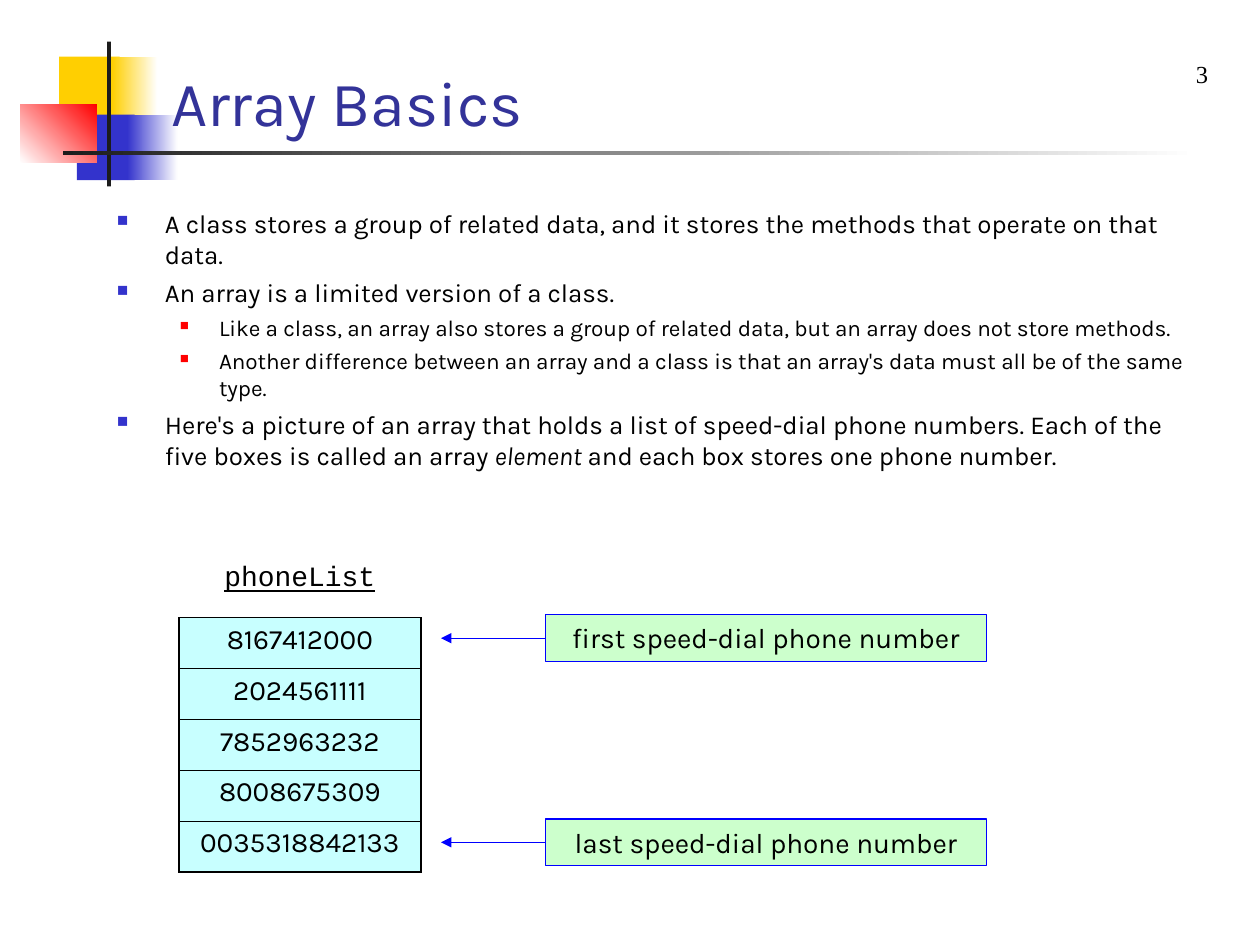
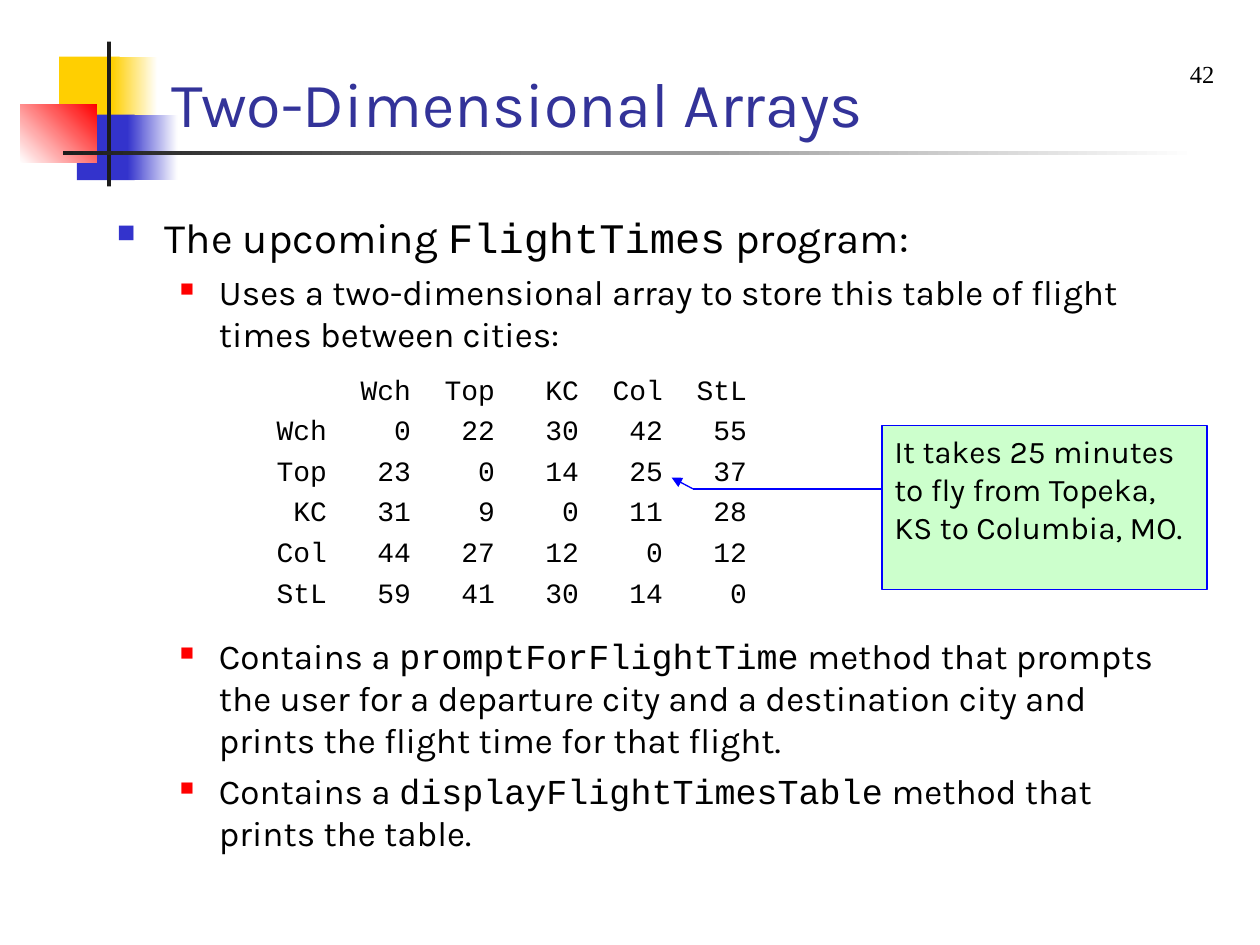
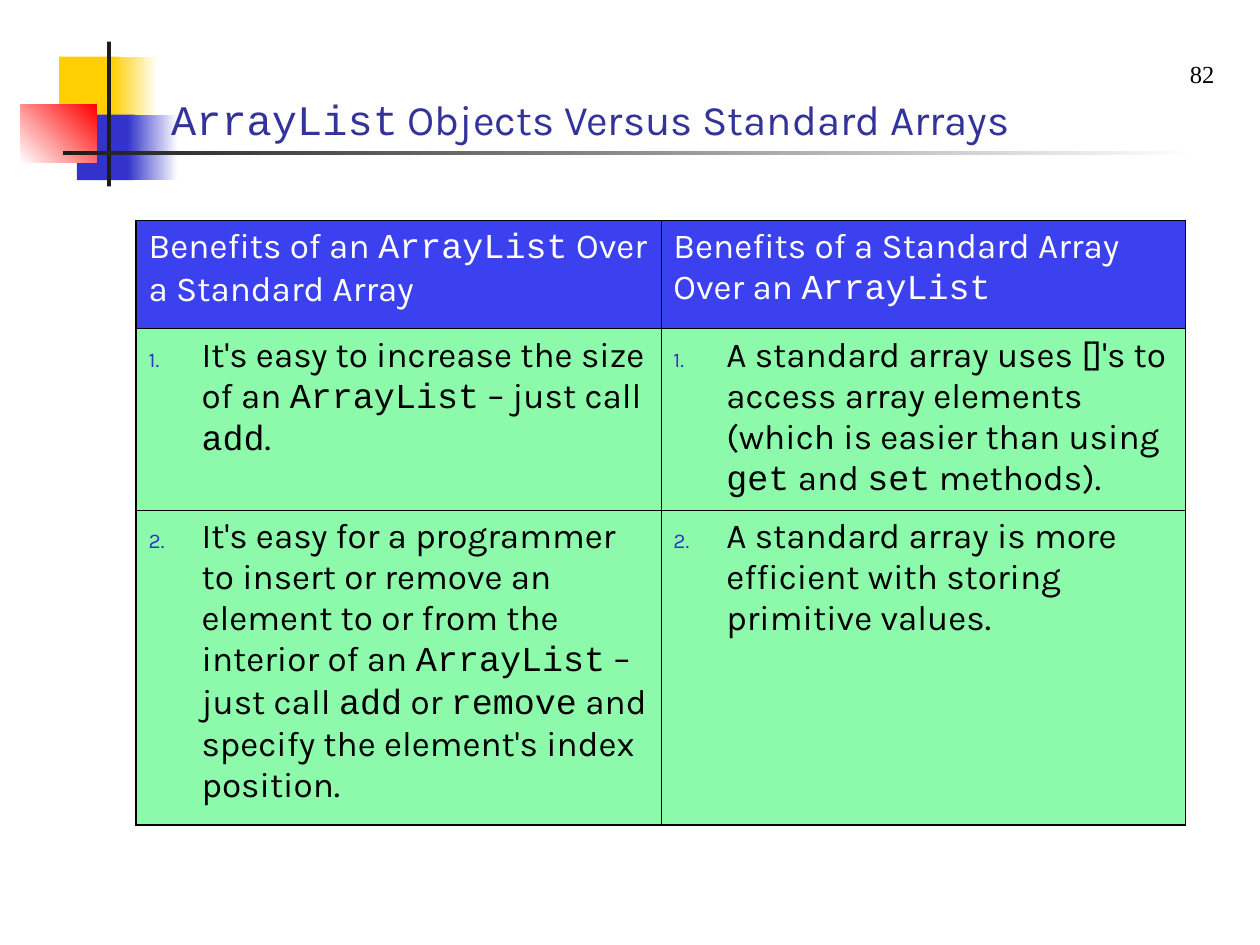
import pptx
import pptx.util
import pptx.dml.color
import pptx.enum.shapes
import pptx.enum.text
import pptx.oxml.ns
from lxml import etree

Inches, Pt = pptx.util.Inches, pptx.util.Pt
RGB = pptx.dml.color.RGBColor.from_string
qn = pptx.oxml.ns.qn
RECT = pptx.enum.shapes.MSO_SHAPE.RECTANGLE
LINE = pptx.enum.shapes.MSO_CONNECTOR.STRAIGHT
ALIGN = pptx.enum.text.PP_ALIGN
ANCHOR = pptx.enum.text.MSO_ANCHOR

hues = {
    "black": "000000", "white": "FFFFFF", "ink": "1C1C1C", "title": "333399",
    "gold": "FFCF01", "blue": "3333CC", "red": "FF0000", "line": "0000FF",
    "note": "CCFFCC", "phone": "C8FFFF", "head": "3C41F0", "body": "8CFAAA",
}
marks = {0: (0.38, 0.38, "blue", 60, 0), 1: (0.81, 0.31, "red", 55, 0)}


def write(par, text, size, hue="black", mark=None):
    if mark:
        left, hang, tint, scale, start = mark
        props = par._p.get_or_add_pPr()
        props.set("marL", str(Inches(left)))
        props.set("indent", str(-Inches(hang)))
        color = etree.SubElement(props, qn("a:buClr"))
        etree.SubElement(color, qn("a:srgbClr"), val=hues[tint])
        etree.SubElement(props, qn("a:buSzPct"), val=str(scale * 1000))
        if start:
            etree.SubElement(props, qn("a:buAutoNum"), type="arabicPeriod", startAt=str(start))
        else:
            etree.SubElement(props, qn("a:buChar"), char="■")
    for i, part in enumerate(text.split("`")):
        if part:
            run = par.add_run()
            run.text = part
            run.font.name = "Courier New" if i % 2 else "Karla"
            run.font.size = Pt(size)
            run.font.color.rgb = RGB(hues[hue])


def edge(cell, *widths):
    props = cell._tc.get_or_add_tcPr()
    for side, width in zip("LRTB", widths):
        line = etree.SubElement(props, qn("a:ln" + side), w=str(Pt(width)))
        if width:
            fill = etree.SubElement(line, qn("a:solidFill"))
            etree.SubElement(fill, qn("a:srgbClr"), val=hues["black"])
        else:
            etree.SubElement(line, qn("a:noFill"))


deck = pptx.Presentation()
deck.slide_width, deck.slide_height = Inches(10), Inches(7.5)

blocks = [
    (0.47, 0.45, 0.48, 0.52, "gold", None, 0),
    (0.89, 0.45, 0.36, 0.52, "gold", "white", 0),
    (0.61, 0.91, 0.46, 0.52, "blue", None, 0),
    (1.01, 0.91, 0.4, 0.52, "blue", "white", 0),
    (0.16, 0.83, 0.61, 0.46, "white", "red", 45),
    (0.85, 0.33, 0.03, 1.15, "ink", None, 0),
    (0.5, 1.2, 9, 0.03, "ink", "white", 0),
]
heads = [
    ("Array Basics", 36, 0.33, "3"),
    ("Two-Dimensional Arrays", 36, 0.34, "42"),
    ("`ArrayList` Objects Versus Standard Arrays", 24, 0.37, "82"),
]
slides = []
for title, size, top, num in heads:
    slide = deck.slides.add_slide(deck.slide_layouts[6])
    slides.append(slide)
    for x, y, w, h, hue, fade, turn in blocks:
        block = slide.shapes.add_shape(RECT, Inches(x), Inches(y), Inches(w), Inches(h))
        block.shadow.inherit = False
        block.line.fill.background()
        if fade:
            block.fill.gradient()
            block.fill.gradient_angle = turn
            for stop, tint in zip(block.fill.gradient_stops, (hue, fade)):
                stop.color.rgb = RGB(hues[tint])
        else:
            block.fill.solid()
            block.fill.fore_color.rgb = RGB(hues[hue])
    frame = slide.shapes.add_textbox(Inches(1.26), Inches(top), Inches(7.74), Inches(0.82)).text_frame
    frame.word_wrap = True
    frame.vertical_anchor = ANCHOR.BOTTOM
    write(frame.paragraphs[0], title, size, "title")
    frame = slide.shapes.add_textbox(Inches(9.33), Inches(0.42), Inches(0.42), Inches(0.33)).text_frame
    frame.word_wrap = True
    par = frame.paragraphs[0]
    par.alignment = ALIGN.CENTER
    write(par, num, 14)
    par.runs[0].font.name = "Times New Roman"

basic, flight, versus = slides

times = [
    ("", "Wch", "Top", "KC", "Col", "StL"),
    ("Wch", "0", "22", "30", "42", "55"),
    ("Top", "23", "0", "14", "25", "37"),
    ("KC", "31", "9", "0", "11", "28"),
    ("Col", "44", "27", "12", "0", "12"),
    ("StL", "59", "41", "30", "14", "0"),
]
points = [
    (0, "A class stores a group of related data, and it stores the methods that operate on that data."),
    (0, "An array is a limited version of a class."),
    (1, "Like a class, an array also stores a group of related data, but an array does not store methods."),
    (1, "Another difference between an array and a class is that an array's data must all be of the same type."),
    (0, "Here's a picture of an array that holds a list of speed-dial phone numbers. Each of the five boxes "
        "is called an array `element` and each box stores one phone number."),
]
tasks = [
    (0, "The upcoming `FlightTimes` program:"),
    (1, "Uses a two-dimensional array to store this table of flight times between cities:"),
    *[(2, "`" + "".join("\t" + item for item in row) + "`") for row in times],
    (1, "Contains a `promptForFlightTime` method that prompts the user for a departure city and a "
        "destination city and prints the flight time for that flight."),
    (1, "Contains a `displayFlightTimesTable` method that prints the table."),
]
texts = [
    (basic, 1.6, 8.75, 2.81, points, (14.8, 12.9), (4, 3.5)),
    (flight, 1.63, 8.67, 5.46, tasks, (24, 20, 16), (6, 5, 4)),
]
frames = []
for slide, y, w, h, items, sizes, gaps in texts:
    frame = slide.shapes.add_textbox(Inches(0.83), Inches(y), Inches(w), Inches(h)).text_frame
    frame.word_wrap = True
    frames.append(frame)
    for i, (level, text) in enumerate(items):
        par = frame.add_paragraph() if i else frame.paragraphs[0]
        write(par, text, sizes[level], mark=marks.get(level))
        if i:
            par.space_before = Pt(gaps[level])
        if level == 2:
            tabs = etree.SubElement(par._p.get_or_add_pPr(), qn("a:tabLst"))
            for col in range(len(times[0])):
                etree.SubElement(tabs, qn("a:tab"), pos=str(Inches((5 + 5 * col) * 2 / 15 + 1)), algn="r")

term = frames[0].paragraphs[-1].runs[1]
term.font.name = "Karla"
term.font.italic = True
rows = frames[1].paragraphs[2:2 + len(times)]
rows[0].space_before = Pt(10)
rows[-1].space_after = Pt(10)

phones = ["`phoneList`", "8167412000", "2024561111", "7852963232", "8008675309", "0035318842133"]
table = basic.shapes.add_table(len(phones), 1, Inches(1.42), Inches(4.42), Inches(1.92), Inches(2.5)).table
table.first_row = table.horz_banding = False
for i, phone in enumerate(phones):
    table.rows[i].height = Inches((2.5 - 0.48) / 5 if i else 0.48)
    cell = table.cell(i, 0)
    if i:
        edge(cell, 1.08, 1.08, 0.45, 1.08 if i == len(phones) - 1 else 0.45)
        cell.fill.solid()
        cell.fill.fore_color.rgb = RGB(hues["phone"])
    else:
        edge(cell, 0, 0, 0, 0.45)
        cell.fill.background()
    par = cell.text_frame.paragraphs[0]
    par.alignment = ALIGN.CENTER
    write(par, phone, 16)
table.cell(0, 0).text_frame.paragraphs[0].runs[0].font.underline = True

notes = [
    (basic, 4.33, 4.88, 3.5, 0.37, "first speed-dial phone number", 16, ALIGN.CENTER),
    (basic, 4.33, 6.5, 3.5, 0.37, "last speed-dial phone number", 16, ALIGN.CENTER),
    (flight, 7, 3.38, 2.58, 1.3, "It takes 25 minutes to fly from Topeka, KS to Columbia, MO.", 18, ALIGN.LEFT),
]
lines = [
    (flight, 7, 3.88, 5.5, 3.88, False, None),
    (flight, 5.5, 3.88, 5.33, 3.79, True, None),
]
for slide, x, y, w, h, text, size, align in notes:
    note = slide.shapes.add_shape(RECT, Inches(x), Inches(y), Inches(w), Inches(h))
    note.shadow.inherit = False
    note.fill.solid()
    note.fill.fore_color.rgb = RGB(hues["note"])
    note.line.color.rgb = RGB(hues["line"])
    note.line.width = Pt(0.75)
    frame = note.text_frame
    frame.word_wrap = True
    frame.vertical_anchor = ANCHOR.TOP
    frame.paragraphs[0].alignment = align
    write(frame.paragraphs[0], text, size)
    if slide is basic:
        lines.append((slide, x, y + h / 2, 3.5, y + h / 2, True, note))

for slide, x, y, far, low, head, note in lines:
    line = slide.shapes.add_connector(LINE, Inches(x), Inches(y), Inches(far), Inches(low))
    line.line.color.rgb = RGB(hues["line"])
    line.line.width = Pt(0.75)
    props = line._element.spPr
    if head:
        etree.SubElement(props.find(qn("a:ln")), qn("a:tailEnd"), type="triangle")
    etree.SubElement(props, qn("a:effectLst"))
    if note:
        line.begin_connect(note, 1)

gains = [
    ("Benefits of an `ArrayList` Over a Standard Array",
     "Benefits of a Standard Array Over an `ArrayList`"),
    ("It's easy to increase the size of an `ArrayList` – just call `add`.",
     "A standard array uses []'s to access array elements (which is easier than using "
     "`get` and `set` methods)."),
    ("It's easy for a programmer to insert or remove an element to or from the interior of an "
     "`ArrayList` – just call `add` or `remove` and specify the element's index position.",
     "A standard array is more efficient with storing primitive values."),
]
table = versus.shapes.add_table(3, 2, Inches(1.08), Inches(1.75), Inches(8.33), Inches(4.8)).table
table.first_row = table.horz_banding = False
for i, (pair, high) in enumerate(zip(gains, (0.86, 1.44, 2.5))):
    table.rows[i].height = Inches(high)
    for j, text in enumerate(pair):
        cell = table.cell(i, j)
        sides = (j == 0, j == 1, i == 0, i == 2)
        edge(cell, *[1.08 if outer else 0.45 for outer in sides])
        cell.fill.solid()
        cell.fill.fore_color.rgb = RGB(hues["body" if i else "head"])
        mark = (0.42, 0.42, "blue", 60, i) if i else None
        write(cell.text_frame.paragraphs[0], text, 20, "black" if i else "white", mark)

deck.save("out.pptx")
